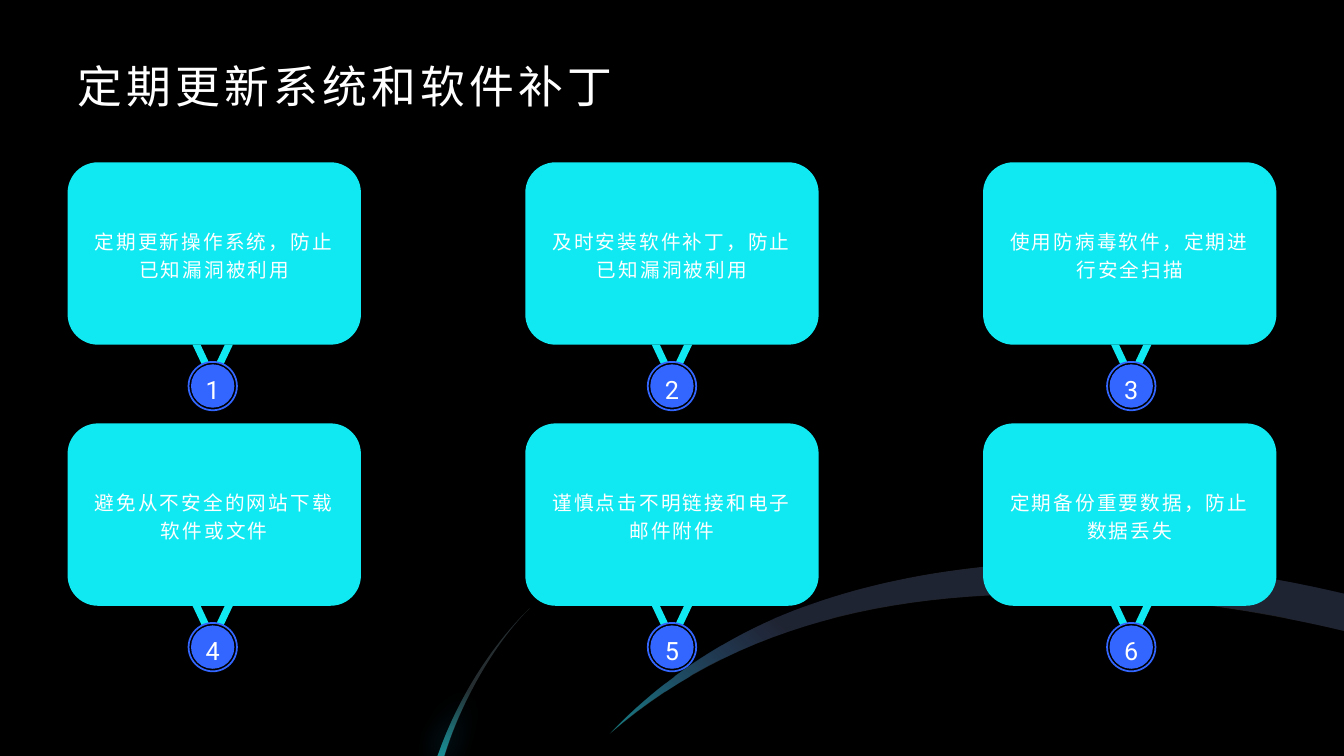
from lxml import etree
from pptx import Presentation
from pptx import util as u
from pptx.dml.color import RGBColor
from pptx.enum import shapes, text
from pptx.oxml.ns import qn

# Content
TITLE = "定期更新系统和软件补丁"
CARDS = [
    "定期更新操作系统，防止已知漏洞被利用",
    "及时安装软件补丁，防止已知漏洞被利用",
    "使用防病毒软件，定期进行安全扫描",
    "避免从不安全的网站下载软件或文件",
    "谨慎点击不明链接和电子邮件附件",
    "定期备份重要数据，防止数据丢失",
]

# Colours
BLACK = RGBColor(0x00, 0x00, 0x00)
WHITE = RGBColor(0xFF, 0xFF, 0xFF)
CYAN = RGBColor(0x10, 0xE9, 0xF2)
BLUE = RGBColor(0x33, 0x66, 0xFF)
GLOW = RGBColor(0x1E, 0xB5, 0xF7)
BAND_BASE = RGBColor(0x1E, 0x1D, 0x1B)
STREAK_BASE = RGBColor(0x25, 0x2D, 0x30)

# Grid, in inches
WIDTH, HEIGHT = 13.33, 7.5
COLUMNS = 3
CARD_LEFT, CARD_TOP, CARD_WIDTH, CARD_HEIGHT = 0.67, 1.61, 2.91, 1.81
CARD_PITCH, ROW_PITCH = 4.54, 2.59
BADGE_X, BADGE_Y, BADGE_PITCH = 2.11, 3.83, 4.555
RING, DISC = 0.48, 0.43

# Background curves: a start, then segments of one point (line) or three (Bezier)
BAND = [
    [(6.05, 7.28)],
    [(6.56, 6.74), (7.26, 6.26), (8.06, 5.99)],
    [(8.85, 5.71), (9.8, 5.57), (10.77, 5.57)],
    [(11.63, 5.57), (12.48, 5.69), (13.33, 5.89)],
    [(13.33, 6.26)],
    [(12.2, 5.99), (11.1, 5.87), (10, 5.9)],
    [(8.4, 5.95), (7.1, 6.37), (6.05, 7.28)],
]
STREAK = [
    [(5.26, 6.03)],
    [(4.96, 6.32), (4.6, 6.88), (4.41, 7.5)],
    [(4.34, 7.5)],
    [(4.67, 6.55), (5.26, 6.03), (5.26, 6.03)],
]
# Outline, base colour, gradient stops (position, colour, opacity %), angle
CURVES = [
    (BAND, BAND_BASE, [(0, CYAN, 50), (0.31, BLUE, 10)], 45),
    (STREAK, STREAK_BASE, [(0.55, CYAN, 0), (1, CYAN, 50)], 270),
]
# Legs of the hanger, measured from the badge centre
LEGS = [
    [(0.12, -0.41), (0.2, -0.41), (0.11, -0.22), (0.1, -0.22), (0.04, -0.24)],
    [(-0.2, -0.41), (-0.12, -0.41), (-0.04, -0.24), (-0.1, -0.22), (-0.11, -0.22)],
]

# Text formats
TITLE_FONT = {"name": "Roboto", "size": u.Pt(32)}
CARD_FONT = {"name": "Karla", "size": u.Pt(14)}
NUMBER_FONT = {"name": "Roboto", "size": u.Pt(18)}
CENTRED = {"alignment": text.PP_ALIGN.CENTER, "line_spacing": 1.2}
NO_INSETS = dict.fromkeys(("margin_left", "margin_right", "margin_top", "margin_bottom"), 0)


def set_all(target, values):
    for name, value in values.items():
        setattr(target, name, value)


def trace(outline, steps=24):
    points = [outline[0][0]]
    for segment in outline[1:]:
        if len(segment) == 1:
            points += segment
            continue
        knots = [points[-1], *segment]
        for step in range(1, steps + 1):
            t = step / steps
            weights = ((1 - t) ** 3, 3 * t * (1 - t) ** 2, 3 * t * t * (1 - t), t ** 3)
            points.append(tuple(sum(w * k[axis] for w, k in zip(weights, knots))
                                for axis in (0, 1)))
    return points


def finish(shape, color=None):
    shape.shadow.inherit = False
    shape.line.fill.background()
    if color is None:
        shape.fill.background()
    else:
        shape.fill.solid()
        shape.fill.fore_color.rgb = color
    return shape


def add_outline(slide, contours, color):
    contours = [[(u.Inches(x), u.Inches(y)) for x, y in points] for points in contours]
    builder = slide.shapes.build_freeform(*contours[0][0], scale=1.0)
    builder.add_line_segments(contours[0][1:], close=True)
    for points in contours[1:]:
        builder.move_to(*points[0])
        builder.add_line_segments(points[1:], close=True)
    return finish(builder.convert_to_shape(), color)


def add_preset(slide, kind, left, top, width, height, color=None):
    box = [u.Inches(value) for value in (left, top, width, height)]
    return finish(slide.shapes.add_shape(kind, *box), color)


def set_gradient(shape, stops, angle):
    shape.fill.gradient()
    shape.fill.gradient_angle = angle
    for stop, (position, color, _) in zip(shape.fill.gradient_stops, stops):
        stop.position = position
        stop.color.rgb = color
    for node, (_, _, opacity) in zip(shape._element.iter(qn("a:srgbClr")), stops):
        etree.SubElement(node, qn("a:alpha"), val=str(opacity * 1000))


def add_glow(shape):
    effects = shape._element.spPr.find(qn("a:effectLst"))
    shadow = etree.SubElement(effects, qn("a:outerShdw"), blurRad=str(u.Pt(20)), dist="0")
    etree.SubElement(shadow, qn("a:srgbClr"), val=str(GLOW))


def write(shape, words, font, paragraph_format, frame_format, spacing=0):
    frame = shape.text_frame
    set_all(frame, {"word_wrap": True, "vertical_anchor": text.MSO_ANCHOR.MIDDLE,
                    **frame_format})
    paragraph = frame.paragraphs[0]
    set_all(paragraph, paragraph_format)
    run = paragraph.add_run()
    run.text = words
    set_all(run.font, font)
    run.font.color.rgb = WHITE
    run.font._element.set("spc", str(int(spacing * 100)))


def main():
    presentation = Presentation()
    presentation.slide_width, presentation.slide_height = u.Inches(WIDTH), u.Inches(HEIGHT)
    slide = presentation.slides.add_slide(presentation.slide_layouts[6])
    slide.background.fill.solid()
    slide.background.fill.fore_color.rgb = BLACK

    # Background curves
    for outline, base, stops, angle in CURVES:
        points = trace(outline)
        add_outline(slide, [points], base)
        overlay = add_outline(slide, [points], base)
        set_gradient(overlay, stops, angle)
    add_glow(overlay)

    # Title
    title = slide.shapes.add_textbox(*map(u.Inches, (0.67, 0.5, 12, 0.62)))
    write(title, TITLE, TITLE_FONT, {},
          {"margin_top": 0, "margin_bottom": 0, "vertical_anchor": text.MSO_ANCHOR.BOTTOM}, 3)

    # Cards with hangers and numbered badges
    for index, words in enumerate(CARDS):
        row, column = divmod(index, COLUMNS)
        x = BADGE_X + column * BADGE_PITCH
        y = BADGE_Y + row * ROW_PITCH
        add_outline(slide, [[(x + dx, y + dy) for dx, dy in leg] for leg in LEGS], CYAN)

        oval = shapes.MSO_SHAPE.OVAL
        ring = add_preset(slide, oval, x - RING / 2, y - RING / 2, RING, RING)
        ring.line.color.rgb = BLUE
        ring.line.width = u.Pt(1.25)
        disc = add_preset(slide, oval, x - DISC / 2, y - DISC / 2, DISC, DISC, BLUE)
        write(disc, str(index + 1), NUMBER_FONT, CENTRED, NO_INSETS)

        card = add_preset(slide, shapes.MSO_SHAPE.ROUNDED_RECTANGLE,
                          CARD_LEFT + column * CARD_PITCH, CARD_TOP + row * ROW_PITCH,
                          CARD_WIDTH, CARD_HEIGHT, CYAN)
        write(card, words, CARD_FONT, CENTRED, {}, 1.5)

    presentation.save("out.pptx")


if __name__ == "__main__":
    main()
